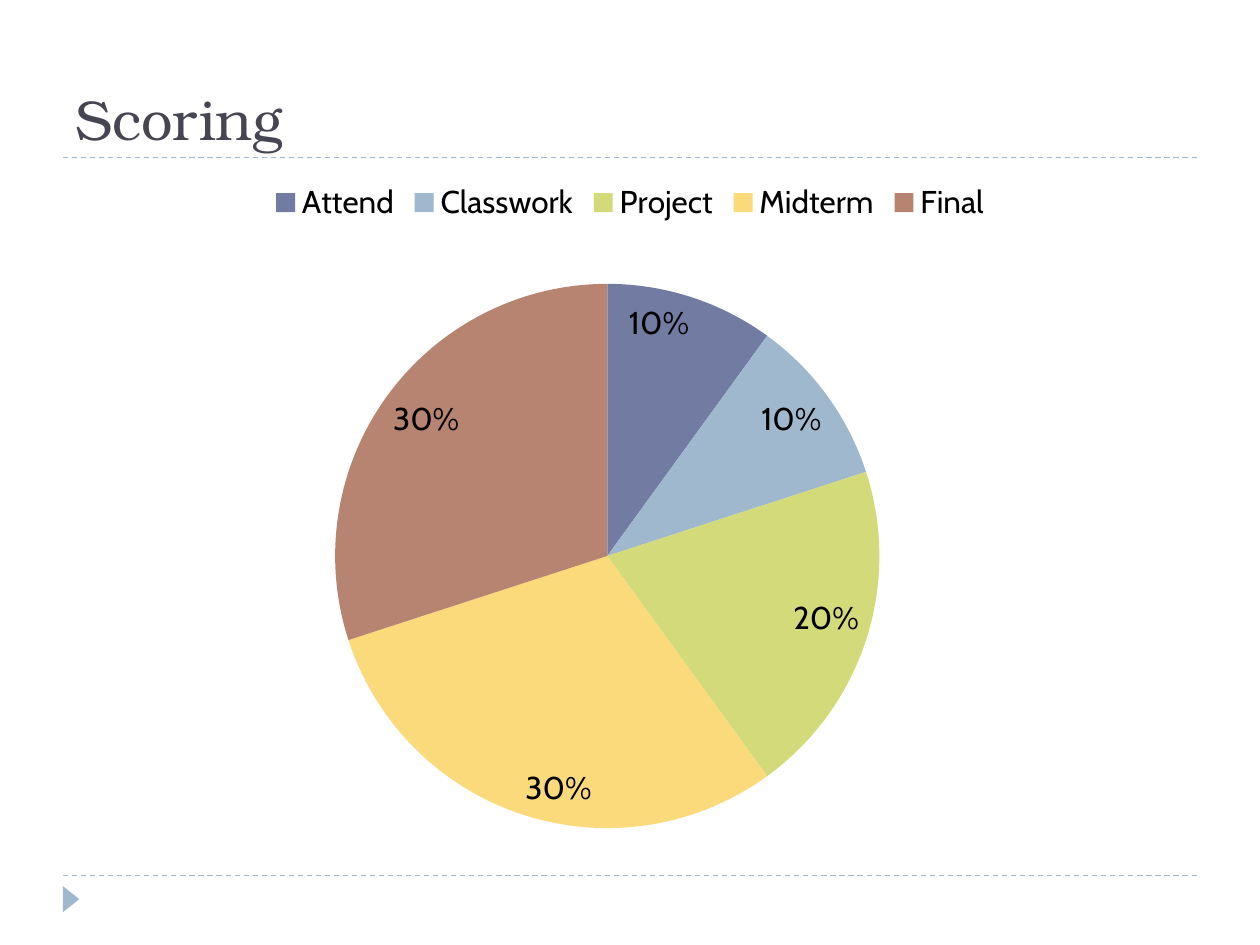
import pptx
import pptx.chart.data
import pptx.dml.color
import pptx.enum.chart
import pptx.enum.dml
import pptx.enum.shapes
import pptx.enum.text
import pptx.oxml
import pptx.oxml.ns
import pptx.util

Pt = pptx.util.Pt

COLORS = {
    "title": "464653",
    "accent": "9FB8CD",
    "text": "000000",
    "Attend": "727CA3",
    "Classwork": "9FB8CD",
    "Project": "D2DA7A",
    "Midterm": "FADA7A",
    "Final": "B88472",
}
SCORES = {"Attend": 10, "Classwork": 10, "Project": 20, "Midterm": 30, "Final": 30}


def color(name):
    return pptx.dml.color.RGBColor.from_string(COLORS[name])


def add_text(page, box, text, *, size, font, fill, anchor):
    frame = page.shapes.add_textbox(*map(Pt, box)).text_frame
    frame.word_wrap = True
    frame.vertical_anchor = anchor
    span = frame.paragraphs[0].add_run()
    span.text = text
    span.font.size = Pt(size)
    span.font.name = font
    span.font.color.rgb = color(fill)


def add_rule(page, left, top, width):
    rule = page.shapes.add_connector(
        pptx.enum.shapes.MSO_CONNECTOR.STRAIGHT,
        Pt(left), Pt(top), Pt(left + width), Pt(top))
    rule.line.color.rgb = color("accent")
    rule.line.width = Pt(0.75)
    rule.line.dash_style = pptx.enum.dml.MSO_LINE.DASH
    rule._element.spPr.append(pptx.oxml.parse_xml(
        "<a:effectLst %s/>" % pptx.oxml.ns.nsdecls("a")))


def add_header(page, box):
    left, top, width, height = box
    add_text(page, box, "Scoring", size=32, font="TeX Gyre Bonum", fill="title",
             anchor=pptx.enum.text.MSO_ANCHOR.BOTTOM)
    add_rule(page, left, top + height, width)


def add_footer(page, box):
    left, top, width, height = box
    add_rule(page, left, top, width)
    # Marker pointing right, turned about its centre
    marker = page.shapes.add_shape(
        pptx.enum.shapes.MSO_SHAPE.ISOSCELES_TRIANGLE,
        Pt(left - 2.9), Pt(top + 8.7), Pt(15), Pt(9.4))
    marker.rotation = 90
    marker.shadow.inherit = False
    marker.fill.solid()
    marker.fill.fore_color.rgb = color("accent")
    marker.line.fill.background()


def place_plot(chart, x, y, width, height):
    """Fix the inner plot area, in fractions of the chart."""
    places = "".join('<c:%s val="%s"/>' % pair for pair in (
        ("layoutTarget", "inner"), ("xMode", "edge"), ("yMode", "edge"),
        ("x", x), ("y", y), ("w", width), ("h", height)))
    plot_area = chart._chartSpace.chart.plotArea
    for layout in plot_area.findall(pptx.oxml.ns.qn("c:layout")):
        plot_area.remove(layout)
    plot_area.insert(0, pptx.oxml.parse_xml(
        "<c:layout %s><c:manualLayout>%s</c:manualLayout></c:layout>"
        % (pptx.oxml.ns.nsdecls("c"), places)))


def add_score_chart(page, box):
    data = pptx.chart.data.CategoryChartData()
    data.categories = list(SCORES)
    data.add_series("Series 1", list(SCORES.values()))
    chart = page.shapes.add_chart(
        pptx.enum.chart.XL_CHART_TYPE.PIE, *map(Pt, box), data).chart
    chart.has_title = False
    chart.font.name = "Cabin"
    chart.font.size = Pt(18)
    chart.font.color.rgb = color("text")

    # Legend
    chart.has_legend = True
    chart.legend.position = pptx.enum.chart.XL_LEGEND_POSITION.TOP
    chart.legend.include_in_layout = False

    # Slices and their labels
    plot = chart.plots[0]
    plot.vary_by_categories = True
    for index, name in enumerate(SCORES):
        fill = plot.series[0].points[index].format.fill
        fill.solid()
        fill.fore_color.rgb = color(name)
    plot.has_data_labels = True
    labels = plot.data_labels
    labels.show_percentage = True
    labels.show_value = False
    labels.number_format = "0%"
    labels.number_format_is_linked = False
    labels.position = pptx.enum.chart.XL_LABEL_POSITION.INSIDE_END
    place_plot(chart, 0.24, 0.17, 0.48, 0.8)


def main():
    deck = pptx.Presentation()
    deck.slide_width, deck.slide_height = Pt(720), Pt(540)
    page = deck.slides.add_slide(deck.slide_layouts[6])
    add_footer(page, (36, 500.4, 648, 39.6))
    add_header(page, (36, 12, 648, 78))
    add_score_chart(page, (36, 96, 648, 389))
    deck.save("out.pptx")


if __name__ == "__main__":
    main()
